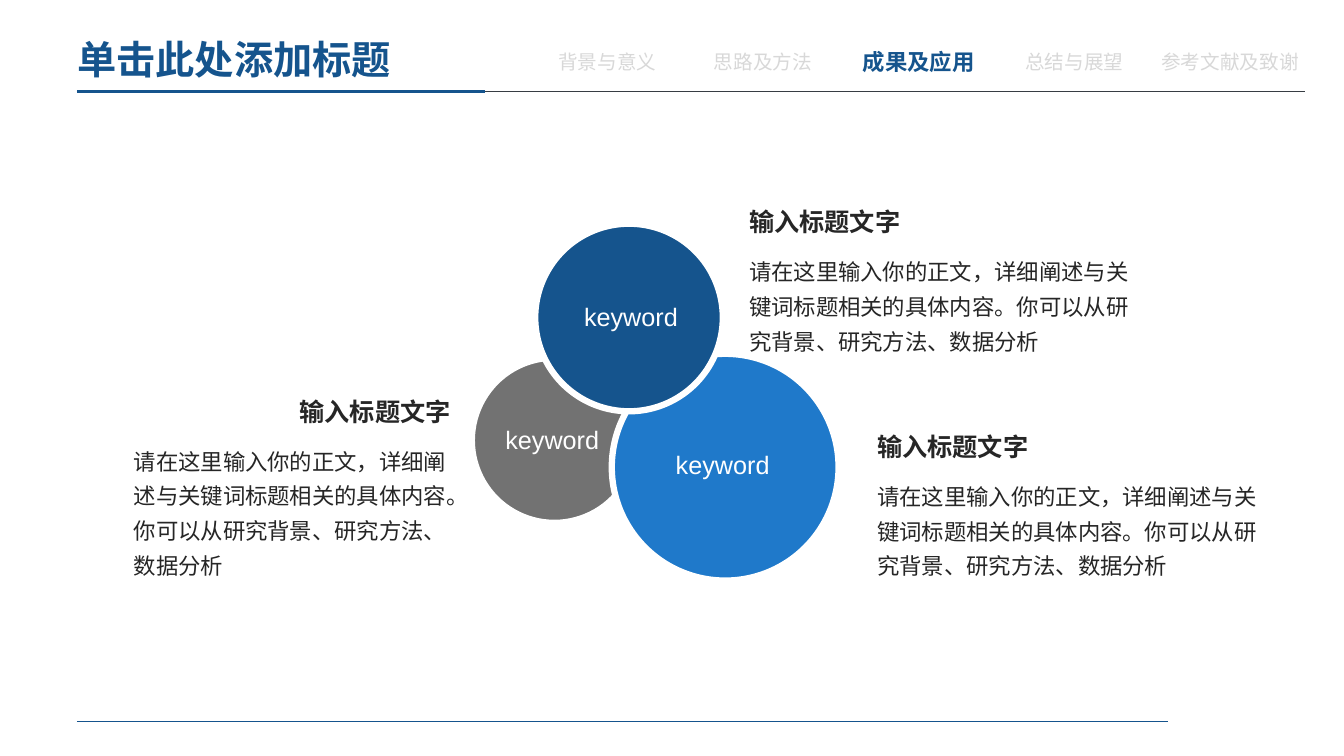
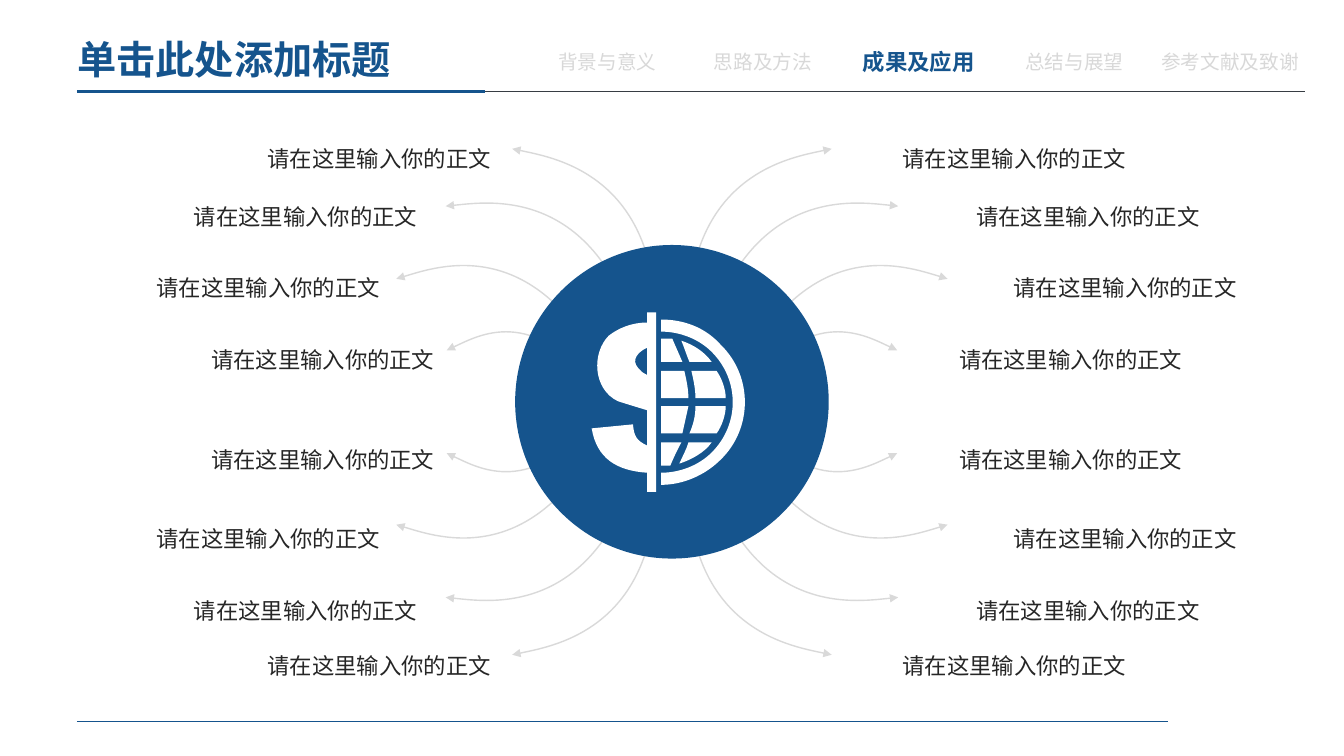
import dataclasses
import itertools
import typing

import lxml.etree
import pptx
import pptx.dml.color
import pptx.enum.shapes
import pptx.enum.text
import pptx.oxml.ns
import pptx.util

Pt = pptx.util.Pt
ALIGN = pptx.enum.text.PP_ALIGN
ANCHOR = pptx.enum.text.MSO_ANCHOR
Point = tuple[float, float]
Step = tuple[Point, ...]  # one point: straight line; three points: cubic curve

COLORS = {
    "navy": "15548D",
    "blue": "1F79CA",
    "gray": "727272",
    "white": "FFFFFF",
    "text": "262626",
    "rule": "373D43",
    "muted": "D8D8D8",
    "arrow": "D9D9D9",
}
CJK_FONT = "Noto Sans CJK SC"
LATIN_FONT = "Arial"

TITLE = "单击此处添加标题"
SECTIONS = ("背景与意义", "思路及方法", "成果及应用", "总结与展望", "参考文献及致谢")
ACTIVE_SECTION = "成果及应用"
SECTION_LEFT, SECTION_PITCH, SECTION_WIDTH = 380.2, 111.2, 107.3

BLOCK_HEADING = "输入标题文字"
BLOCK_BODY = "请在这里输入你的正文，详细阐述与关键词标题相关的具体内容。你可以从研究背景、研究方法、数据分析"
SPOKE_LABEL = "请在这里输入你的正文"

HUB: Point = (480, 287)
HUB_DIAMETER = 224
LABEL_WIDTH, LABEL_HEIGHT = 206.6, 31.7


@dataclasses.dataclass(frozen=True)
class Bubble:
    left: float
    top: float
    diameter: float
    color: str
    label_left: float
    label_top: float


@dataclasses.dataclass(frozen=True)
class TextBlock:
    left: float
    top: float
    width: float
    body_height: float
    heading_align: ALIGN = ALIGN.LEFT


@dataclasses.dataclass(frozen=True)
class Spoke:
    """Curve points and label offset measured from the hub centre."""
    tip: Point
    bend: Point
    root: Point
    label_offset: float
    upper_top: float
    lower_top: float


@dataclasses.dataclass(frozen=True)
class Contour:
    start: Point
    steps: tuple[Step, ...]


BUBBLES = (
    Bubble(337, 255.5, 118, "gray", 353.5, 299.5),
    Bubble(437, 252.7, 162, "blue", 475.2, 317.5),
    Bubble(382.3, 159.8, 134, "navy", 409.7, 211.7),
)
BLOCKS = (
    TextBlock(528, 144, 296, 80.6),
    TextBlock(619.5, 304.5, 296, 80.6),
    TextBlock(88.5, 279.5, 240.5, 105.8, ALIGN.RIGHT),
)
SPOKES = (
    Spoke((114.1, -180.7), (8.3, -164.9), (11.2, -49.7), 226.8, 91.4, 453.6),
    Spoke((161.6, -139.7), (57.2, -157), (24.8, -46.8), 279.4, 132.5, 414),
    Spoke((196.9, -87.8), (101.9, -123.1), (50.8, -25.2), 306, 183.6, 362.9),
    Spoke((160.9, -36.7), (100.4, -71.3), (55.1, -10.8), 267.1, 234.7, 306),
)

ICON_ORIGIN: Point = (422.64, 223.2)
ICON_UNIT = 0.72
GLOBE_CONTOURS = (
    Contour((89, 28), (((101, 32), (112, 39), (119, 49)), ((97, 49),),
                       ((94, 42), (92, 35), (89, 28)))),
    Contour((69, 26), (((80, 26),), ((83, 33), (87, 42), (90, 49)), ((69, 49),))),
    Contour((99, 58), (((124, 58),), ((129, 65), (133, 76), (133, 85)), ((103, 85),),
                       ((103, 76), (101, 67), (99, 58)))),
    Contour((69, 58), (((92, 58),), ((94, 67), (96, 76), (96, 85)), ((69, 85),))),
    Contour((103, 93), (((133, 93),), ((133, 102), (129, 113), (124, 120)), ((97, 120),),
                        ((101, 111), (103, 102), (103, 93)))),
    Contour((69, 93), (((96, 93),), ((94, 102), (92, 111), (90, 120)), ((69, 120),))),
    Contour((96, 129), (((119, 129),), ((112, 139), (99, 146), (87, 150)),
                        ((90, 143), (94, 136), (96, 129)))),
    Contour((69, 129), (((89, 129),), ((85, 136), (81, 145), (78, 152)), ((69, 152),))),
    Contour((69, 7), (((90, 7), (112, 14), (128, 32)), ((160, 63), (160, 115), (128, 146)),
                      ((112, 162), (90, 171), (69, 171)), ((69, 159),),
                      ((87, 159), (106, 152), (119, 139)), ((147, 111), (147, 67), (119, 39)),
                      ((106, 26), (87, 19), (69, 19)))),
)
DOLLAR_CONTOURS = (
    Contour((55, 35), (((46, 39), (39, 47), (46, 55)), ((48, 58), (51, 60), (55, 62)))),
    Contour((64, 178), (((55, 178),), ((55, 159),), ((25, 157), (5, 145), (0, 115)),
                        ((41, 111),), ((42, 122), (44, 127), (55, 132)), ((55, 97),),
                        ((42, 93), (32, 90), (26, 88)), ((1, 76), (0, 40), (17, 23)),
                        ((26, 16), (39, 10), (55, 10)), ((55, 0),), ((64, 0),))),
)


def rgb(name: str) -> pptx.dml.color.RGBColor:
    return pptx.dml.color.RGBColor.from_string(COLORS[name])


def write_text(shape: typing.Any, text: str, *, size: float, color: str = "text",
               bold: bool = False, font: str = CJK_FONT, align: ALIGN = ALIGN.LEFT,
               anchor: ANCHOR = ANCHOR.TOP, line_spacing: float = 1.0,
               wrap: bool = True, insets: Point = (7.2, 3.6)) -> None:
    frame = shape.text_frame
    frame.auto_size = pptx.enum.text.MSO_AUTO_SIZE.NONE
    frame.word_wrap = wrap
    frame.vertical_anchor = anchor
    frame.margin_left = frame.margin_right = Pt(insets[0])
    frame.margin_top = frame.margin_bottom = Pt(insets[1])
    paragraph = frame.paragraphs[0]
    paragraph.alignment = align
    paragraph.line_spacing = line_spacing
    run = paragraph.add_run()
    run.text = text
    run.font.size = Pt(size)
    run.font.bold = bold
    run.font.name = font
    run.font.color.rgb = rgb(color)
    east_asian = lxml.etree.SubElement(run.font._element, pptx.oxml.ns.qn("a:ea"))
    east_asian.set("typeface", CJK_FONT)


def add_text(slide: typing.Any, left: float, top: float, width: float, height: float,
             text: str, **text_format: typing.Any) -> None:
    box = slide.shapes.add_textbox(Pt(left), Pt(top), Pt(width), Pt(height))
    write_text(box, text, **text_format)


def add_rule(slide: typing.Any, left: float, right: float, y: float,
             color: str, weight: float) -> None:
    rule = slide.shapes.add_connector(
        pptx.enum.shapes.MSO_CONNECTOR.STRAIGHT, Pt(left), Pt(y), Pt(right), Pt(y))
    rule.line.color.rgb = rgb(color)
    rule.line.width = Pt(weight)
    lxml.etree.SubElement(rule._element.spPr, pptx.oxml.ns.qn("a:effectLst"))


def add_circle(slide: typing.Any, left: float, top: float, diameter: float,
               color: str, outline_weight: float = 0) -> None:
    circle = slide.shapes.add_shape(
        pptx.enum.shapes.MSO_SHAPE.OVAL, Pt(left), Pt(top), Pt(diameter), Pt(diameter))
    circle.shadow.inherit = False
    circle.fill.solid()
    circle.fill.fore_color.rgb = rgb(color)
    if outline_weight:
        circle.line.color.rgb = rgb("white")
        circle.line.width = Pt(outline_weight)
    else:
        circle.line.fill.background()


def add_outline(slide: typing.Any, contours: typing.Sequence[Contour], *,
                origin: Point, scale: Point, closed: bool) -> typing.Any:
    """Build a freeform, then turn each three-point step into a cubic curve."""
    def place(point: Point) -> tuple[int, int]:
        x, y = (Pt(o + s * p) for o, s, p in zip(origin, scale, point))
        return x, y

    builder = slide.shapes.build_freeform(*place(contours[0].start))
    for index, contour in enumerate(contours):
        if index:
            builder.move_to(*place(contour.start))
        points = itertools.chain.from_iterable(contour.steps)
        builder.add_line_segments([place(point) for point in points], close=closed)
    shape = builder.convert_to_shape()
    shape.shadow.inherit = False

    qn = pptx.oxml.ns.qn
    segments = iter(list(shape._element.iter(qn("a:lnTo"))))
    for step in itertools.chain.from_iterable(contour.steps for contour in contours):
        first, *others = itertools.islice(segments, len(step))
        if others:
            curve = lxml.etree.Element(qn("a:cubicBezTo"))
            first.addprevious(curve)
            for segment in (first, *others):
                curve.append(segment[0])
                segment.getparent().remove(segment)
    return shape


def add_spoke_arrow(slide: typing.Any, spoke: Spoke, side: int, half: int) -> None:
    contour = Contour(spoke.tip, ((spoke.tip, spoke.bend, spoke.root),))
    arrow = add_outline(slide, (contour,), origin=HUB, scale=(side, half), closed=False)
    arrow.fill.background()
    arrow.line.color.rgb = rgb("arrow")
    arrow.line.width = Pt(1)
    line = arrow._element.spPr.find(pptx.oxml.ns.qn("a:ln"))
    for end in ("a:headEnd", "a:tailEnd"):
        lxml.etree.SubElement(line, pptx.oxml.ns.qn(end)).set("type", "triangle")


def add_framed_slide(presentation: typing.Any) -> typing.Any:
    """Add a slide with the shared title, section navigation and rules."""
    slide = presentation.slides.add_slide(presentation.slide_layouts[5])
    title = slide.shapes.title
    title.left, title.top, title.width, title.height = Pt(48.2), Pt(25.2), Pt(240.5), Pt(38.2)
    write_text(title, TITLE, size=28, color="navy", bold=True,
               anchor=ANCHOR.MIDDLE, line_spacing=0.9, wrap=False)
    for index, section in enumerate(SECTIONS):
        active = section == ACTIVE_SECTION
        add_text(slide, SECTION_LEFT + index * SECTION_PITCH, 29.5, SECTION_WIDTH, 28.8,
                 section, size=16 if active else 14, color="navy" if active else "muted",
                 bold=active, font=LATIN_FONT, align=ALIGN.CENTER,
                 anchor=ANCHOR.MIDDLE, wrap=False)
    add_rule(slide, 55, 932.4, 65.5, "rule", 0.5)
    add_rule(slide, 55, 346.3, 65.5, "navy", 1.75)
    add_rule(slide, 55, 834.5, 515.5, "navy", 0.5)
    return slide


def add_bubble_slide(presentation: typing.Any) -> None:
    slide = add_framed_slide(presentation)
    for bubble in BUBBLES:
        add_circle(slide, bubble.left, bubble.top, bubble.diameter, bubble.color, 4.5)
    for bubble in BUBBLES:
        add_text(slide, bubble.label_left, bubble.label_top, 82, 29, "keyword", size=18,
                 color="white", font=LATIN_FONT, align=ALIGN.CENTER, wrap=False)
    for block in BLOCKS:
        add_text(slide, block.left, block.top, block.width, 29, BLOCK_HEADING,
                 size=18, bold=True, align=block.heading_align)
        add_text(slide, block.left, block.top + 31, block.width, block.body_height,
                 BLOCK_BODY, size=16, line_spacing=1.3)


def add_hub_slide(presentation: typing.Any) -> None:
    slide = add_framed_slide(presentation)
    for side, half, spoke in itertools.product((1, -1), (1, -1), SPOKES):
        add_spoke_arrow(slide, spoke, side, half)
        label_left = HUB[0] + side * spoke.label_offset - LABEL_WIDTH / 2
        label_top = spoke.upper_top if half == 1 else spoke.lower_top
        add_text(slide, label_left, label_top, LABEL_WIDTH, LABEL_HEIGHT, SPOKE_LABEL,
                 size=16, align=ALIGN.RIGHT, line_spacing=1.5, insets=(5.76, 2.88))
    add_circle(slide, HUB[0] - HUB_DIAMETER / 2, HUB[1] - HUB_DIAMETER / 2,
               HUB_DIAMETER, "navy")
    icon = add_outline(slide, GLOBE_CONTOURS + DOLLAR_CONTOURS, origin=ICON_ORIGIN,
                       scale=(ICON_UNIT, ICON_UNIT), closed=True)
    icon.fill.solid()
    icon.fill.fore_color.rgb = rgb("white")
    icon.line.fill.background()


def main() -> None:
    presentation = pptx.Presentation()
    presentation.slide_width, presentation.slide_height = Pt(960), Pt(540)
    add_bubble_slide(presentation)
    add_hub_slide(presentation)
    presentation.save("out.pptx")


if __name__ == "__main__":
    main()
